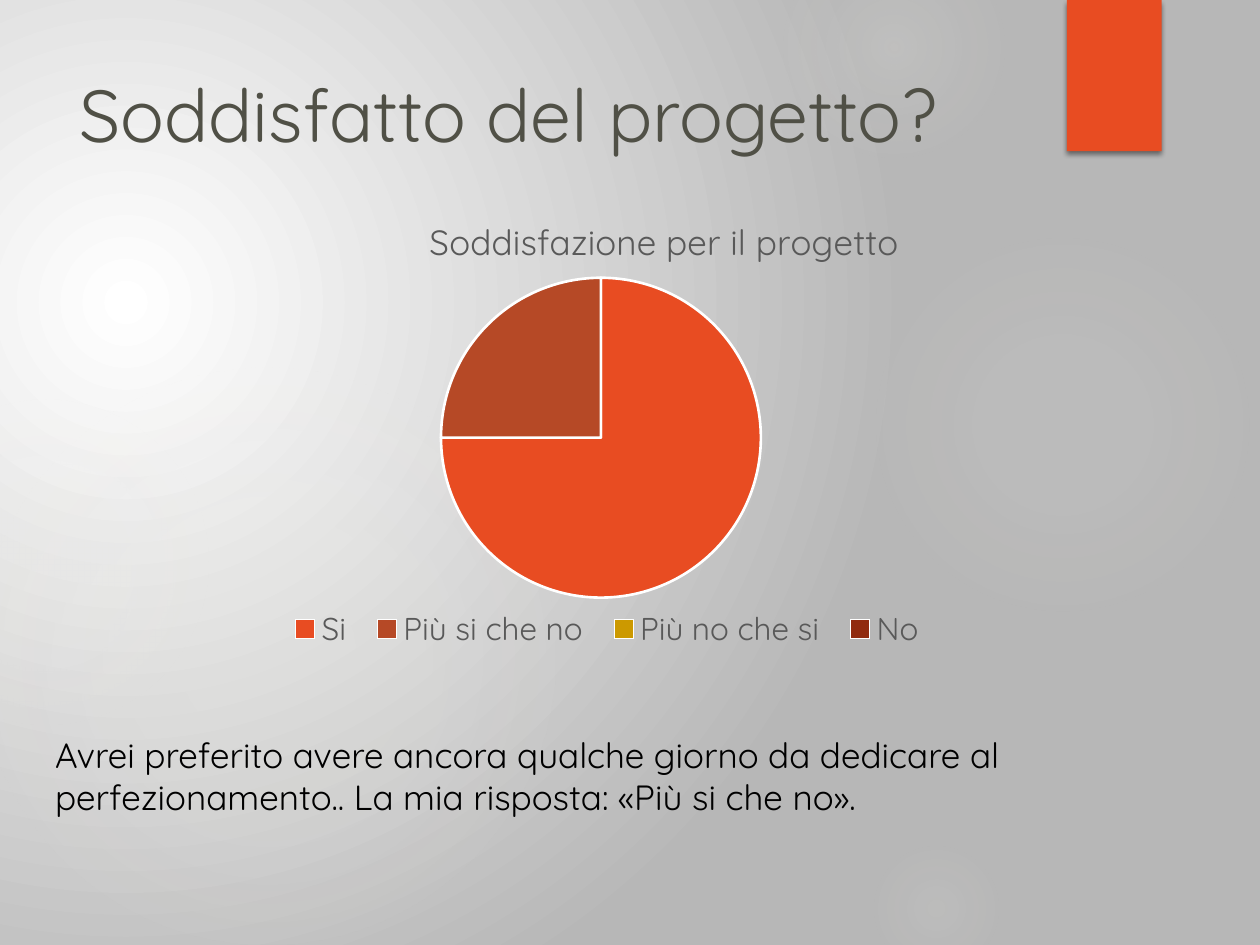
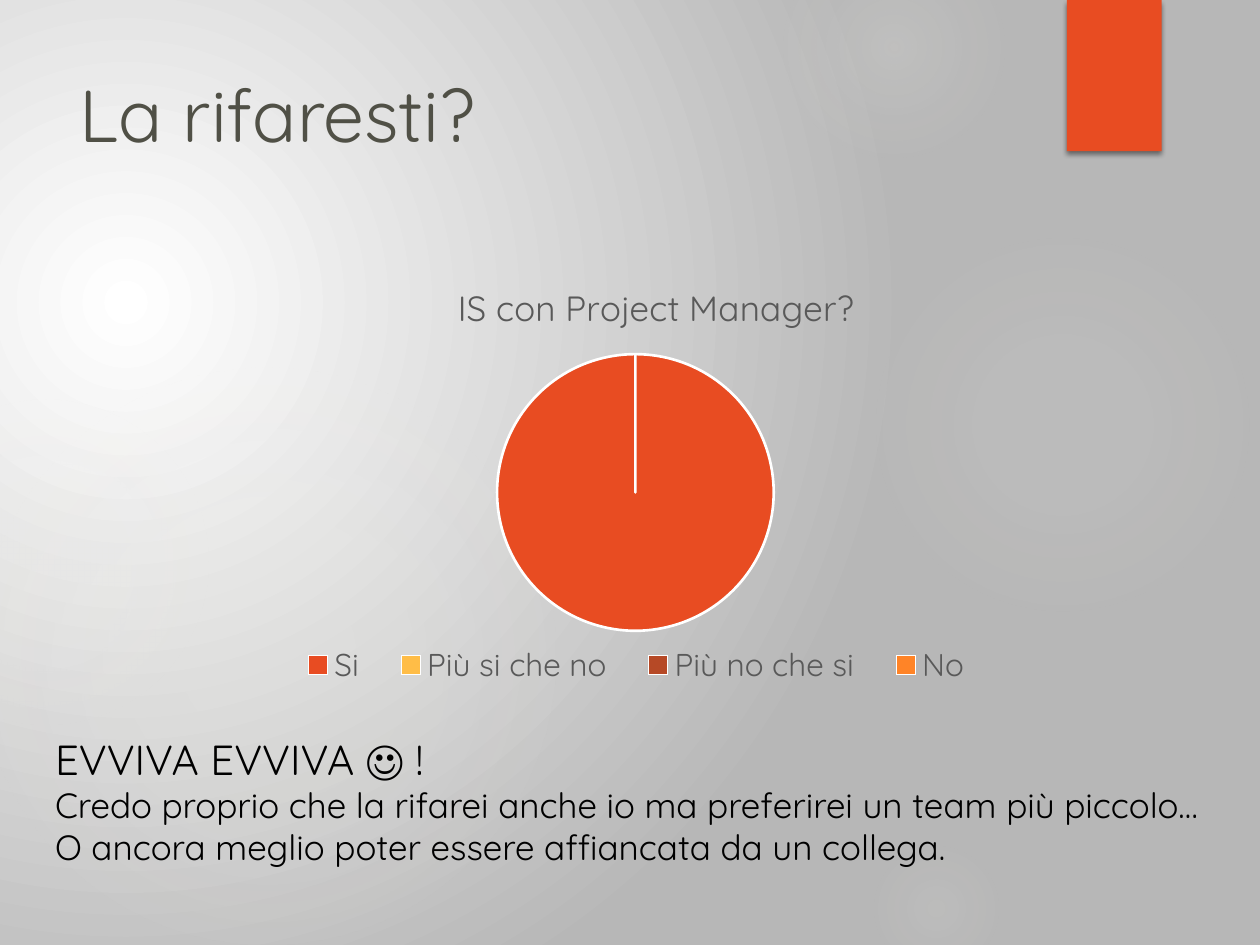
from lxml import etree
from pptx import Presentation
from pptx import util as u
from pptx.chart import data as chart_data
from pptx.dml.color import RGBColor
from pptx.enum import chart as charts, shapes, text
from pptx.oxml import ns, parse_xml

# Theme: colours, font and type sizes
THEME = {
    "font": "Quicksand",
    "white": "FFFFFF", "backdrop": "B7B7B7", "glow": "F5F4ED",
    "ribbon": "E84C22", "heading": "505046", "body": "000000", "chart": "595959",
    "heading_size": 42, "lead_size": 24, "body_size": 20, "legend_size": 18,
}
FRAME = {"word_wrap": True, "vertical_anchor": text.MSO_ANCHOR.TOP}
ANSWERS = ["Si", "Più si che no", "Più no che si", "No"]

# Glows: left, top, diameter in cm, then (position, opacity) stops in percent
GLOWS = [
    (17.5, 4.65, 7.82, [(0, 7), (36, 6), (69, 0)]),
    (15.8, -1.27, 4.45, [(0, 14), (36, 7), (73, 0)]),
    (17.5, 16.94, 2.74, [(0, 9), (36, 5), (66, 0)]),
    (-0.43, 7.42, 11.63, [(0, 11), (36, 10), (75, 0)]),
    (-2.34, 8.05, 6.55, [(0, 8), (36, 8), (72, 0)]),
]

# Questions: lengths in cm, all measured from the slide corner
QUESTIONS = [
    {
        "heading": "Soddisfatto del progetto?",
        "comment": [("Avrei preferito avere ancora qualche giorno da dedicare al "
                     "perfezionamento.. La mia risposta: «Più si che no».", "body_size")],
        "comment_height": 1.96,
        "chart_title": "Soddisfazione per il progetto",
        "votes": [75, 25, 0, 0],
        "colours": ["E84C22", "B64926", "CC9900", "912B0F"],
        "chart": (4.01, 3.78, 16.18, 9.86),
        "title_at": (8.53, 4.23),
        "pie_at": (8.89, 5.6, 6.45, 6.45),
        "legend_at": (5.54, 12.26, 13.4, 0.85),
    },
    {
        "heading": "La rifaresti?",
        "comment": [("EVVIVA EVVIVA ☺ !", "lead_size"),
                    ("Credo proprio che la rifarei anche io ma preferirei un team più "
                     "piccolo… O ancora meglio poter essere affiancata da un collega.",
                     "body_size")],
        "comment_height": 3,
        "chart_title": "IS con Project Manager?",
        "votes": [100, 0, 0, 0],
        "colours": ["E84C22", "FFBD47", "B64926", "FF8427"],
        "chart": (4.29, 5.16, 16.99, 9.14),
        "title_at": (9.1, 5.56),
        "pie_at": (10.02, 7.14, 5.58, 5.58),
        "legend_at": (5.58, 12.98, 14.5, 0.85),
    },
]


def radial_fill(owner, stops, focus):
    """Swap the gradient in owner for a circular one; stops are (position, colour, opacity)."""
    gs = "".join(
        f'<a:gs pos="{pos * 1000}"><a:srgbClr val="{colour}">'
        f'<a:alpha val="{opacity * 1000}"/></a:srgbClr></a:gs>'
        for pos, colour, opacity in stops)
    sides = " ".join(f'{side}="{value * 1000}"' for side, value in zip("ltrb", focus))
    owner.replace(owner.find(ns.qn("a:gradFill")), parse_xml(
        f'<a:gradFill {ns.nsdecls("a")} rotWithShape="1"><a:gsLst>{gs}</a:gsLst>'
        f'<a:path path="circle"><a:fillToRect {sides}/></a:path></a:gradFill>'))


def place(part, index, area, chart_box):
    """Give a chart part a fixed place, as fractions of the chart box."""
    for old in part.findall(ns.qn("c:layout")):
        part.remove(old)
    layout = etree.Element(ns.qn("c:layout"))
    manual = etree.SubElement(layout, ns.qn("c:manualLayout"))
    left, top, width, height = chart_box
    fractions = [(area[0] - left) / width, (area[1] - top) / height]
    if len(area) == 4:
        fractions += [area[2] / width, area[3] / height]
    settings = [("xMode", "edge"), ("yMode", "edge")]
    if part.tag == ns.qn("c:plotArea"):
        settings.insert(0, ("layoutTarget", "inner"))
    settings += [(key, f"{value:.4f}") for key, value in zip("xywh", fractions)]
    for key, value in settings:
        etree.SubElement(manual, ns.qn(f"c:{key}")).set("val", value)
    part.insert(index, layout)


deck = Presentation()
deck.slide_width, deck.slide_height = u.Cm(25.4), u.Cm(19.05)

for question in QUESTIONS:
    slide = deck.slides.add_slide(deck.slide_layouts[6])

    # Background
    slide.background.fill.gradient()
    radial_fill(slide.element.find(".//" + ns.qn("p:bgPr")),
                [(0, THEME["white"], 100), (100, THEME["backdrop"], 100)],
                (45, 65, 125, 100))
    for left, top, diameter, stops in GLOWS:
        glow = slide.shapes.add_shape(shapes.MSO_SHAPE.OVAL, u.Cm(left), u.Cm(top),
                                      u.Cm(diameter), u.Cm(diameter))
        glow.shadow.inherit = False
        glow.line.fill.background()
        glow.fill.gradient()
        radial_fill(glow.element.spPr,
                    [(pos, THEME["glow"], opacity) for pos, opacity in stops],
                    (50, 50, 50, 50))

    # Ribbon with a soft shadow below
    ribbon = slide.shapes.add_shape(shapes.MSO_SHAPE.RECTANGLE, u.Cm(21.51), 0,
                                    u.Cm(1.91), u.Cm(3.05))
    ribbon.fill.solid()
    ribbon.fill.fore_color.rgb = RGBColor.from_string(THEME["ribbon"])
    ribbon.line.fill.background()
    ribbon.shadow.inherit = False
    ribbon.element.spPr.find(ns.qn("a:effectLst")).append(parse_xml(
        f'<a:outerShdw {ns.nsdecls("a")} blurRad="38100" dist="25400" dir="5400000" '
        'rotWithShape="0"><a:srgbClr val="000000"><a:alpha val="45000"/></a:srgbClr>'
        '</a:outerShdw>'))

    # Heading and comment
    writings = [
        ((1.35, 1.27, 22.53, 3.89), [(question["heading"], "heading_size")], "heading"),
        ((0.86, 14.66, 24.21, question["comment_height"]), question["comment"], "body"),
    ]
    for area, lines, colour in writings:
        frame = slide.shapes.add_textbox(*map(u.Cm, area)).text_frame
        for name, value in FRAME.items():
            setattr(frame, name, value)
        for number, (line, size) in enumerate(lines):
            paragraph = frame.add_paragraph() if number else frame.paragraphs[0]
            run = paragraph.add_run()
            run.text = line
            for name, value in {"name": THEME["font"], "size": u.Pt(THEME[size])}.items():
                setattr(run.font, name, value)
            run.font.color.rgb = RGBColor.from_string(THEME[colour])

    # Pie of the votes
    votes = chart_data.CategoryChartData()
    votes.categories = ANSWERS
    votes.add_series("Series 1", question["votes"])
    pie = slide.shapes.add_chart(charts.XL_CHART_TYPE.PIE,
                                 *map(u.Cm, question["chart"]), votes).chart
    pie.has_title = pie.has_legend = True
    pie.chart_title.text_frame.text = question["chart_title"]
    pie.legend.position = charts.XL_LEGEND_POSITION.BOTTOM
    pie.legend.include_in_layout = False
    pie.plots[0].vary_by_categories = True
    title_run = pie.chart_title.text_frame.paragraphs[0].runs[0]
    for font, size, colour in [(pie.font, 10, "body"),
                               (title_run.font, THEME["body_size"], "chart"),
                               (pie.legend.font, THEME["legend_size"], "chart")]:
        for name, value in {"name": THEME["font"], "size": u.Pt(size), "bold": False}.items():
            setattr(font, name, value)
        font.color.rgb = RGBColor.from_string(THEME[colour])
    for number, colour in enumerate(question["colours"]):
        slice_format = pie.plots[0].series[0].points[number].format
        slice_format.fill.solid()
        slice_format.fill.fore_color.rgb = RGBColor.from_string(colour)
        slice_format.line.color.rgb = RGBColor.from_string(THEME["white"])
        slice_format.line.width = u.Pt(1.5)

    # Places inside the chart
    plot_area = pie.plots[0]._element.getparent()
    for part, index, area in [(pie.chart_title._element, 1, "title_at"),
                              (plot_area, 0, "pie_at"),
                              (pie.legend._element, 1, "legend_at")]:
        place(part, index, question[area], question["chart"])

deck.save("out.pptx")
